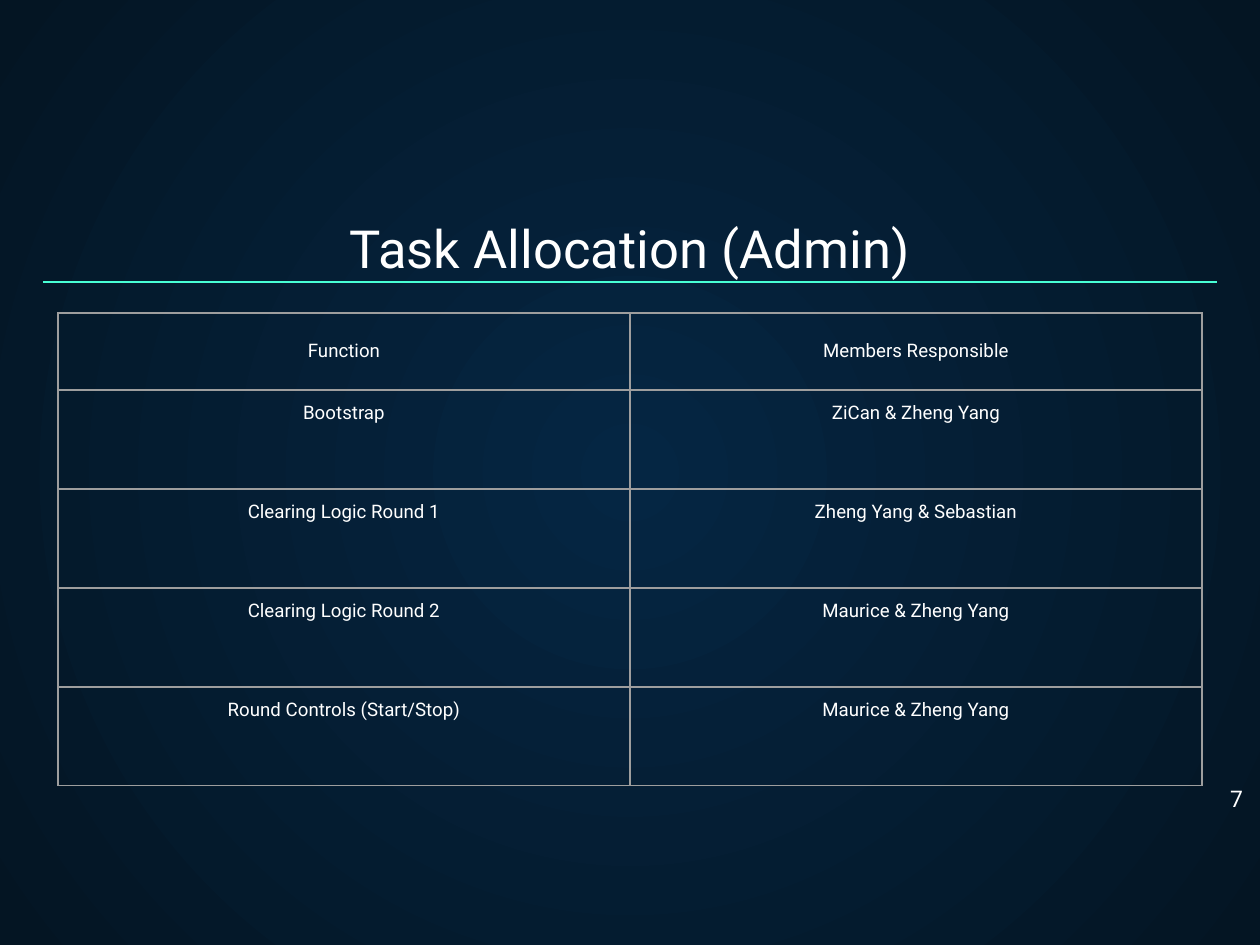
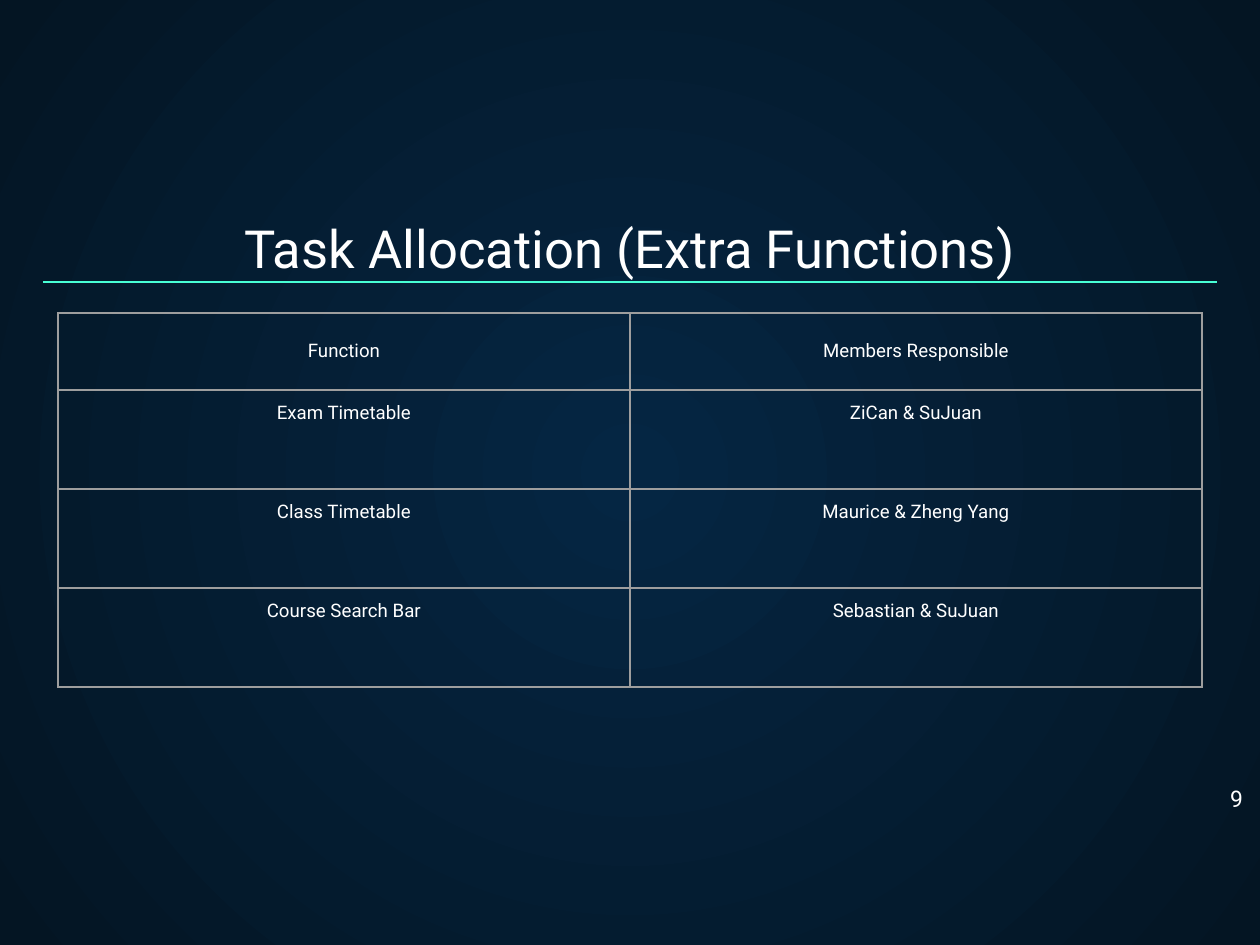
from dataclasses import dataclass

from lxml.etree import SubElement
from pptx import Presentation
from pptx.dml.color import RGBColor as RGB
from pptx.enum.shapes import MSO_CONNECTOR
from pptx.enum.text import MSO_ANCHOR as ANCHOR, PP_ALIGN as ALIGN
from pptx.oxml.ns import qn
from pptx.util import Emu, Pt


@dataclass(frozen=True)
class Theme:
    font: str = "Roboto"
    text: str = "FFFFFF"
    accent: str = "48FFD5"
    border: str = "9E9E9E"
    center: str = "052643"
    edge: str = "041523"
    title_size: float = 22.5
    number_size: float = 9.8
    cell_size: float = 8
    line_width: float = 0.75


THEME = Theme()
WIDTH, HEIGHT = 1260, 945
INSET = 12
COL_WIDTH, HEADER_HEIGHT, ROW_HEIGHT = 572, 77, 99

HEADER = ("Function", "Members Responsible")
SLIDES = [
    ("Task Allocation (Admin)", 7, [
        ("Bootstrap", "ZiCan & Zheng Yang"),
        ("Clearing Logic Round 1", "Zheng Yang & Sebastian"),
        ("Clearing Logic Round 2", "Maurice & Zheng Yang"),
        ("Round Controls (Start/Stop)", "Maurice & Zheng Yang"),
    ]),
    ("Task Allocation (Extra Functions)", 9, [
        ("Exam Timetable", "ZiCan & SuJuan"),
        ("Class Timetable", "Maurice & Zheng Yang"),
        ("Course Search Bar", "Sebastian & SuJuan"),
    ]),
]


def px(n):
    return Emu(round(n * 914400 / 168))


# Shared background
def set_background(master):
    fill = master.background.fill
    fill.gradient()
    for stop, color in zip(fill.gradient_stops, (THEME.center, THEME.edge)):
        stop.color.rgb = RGB.from_string(color)
    grad = master.element.find(".//" + qn("a:gradFill"))
    grad.remove(grad.find(qn("a:lin")))
    circle = SubElement(grad, qn("a:path"), path="circle")
    SubElement(circle, qn("a:fillToRect"),
               {side: "50000" for side in "ltrb"})


# Text
def write(tf, text, size, align):
    tf.text = text
    p = tf.paragraphs[0]
    p.alignment = align
    font = p.runs[0].font
    font.name, font.size, font.bold = THEME.font, Pt(size), False
    font.color.rgb = RGB.from_string(THEME.text)


def set_insets(box):
    box.margin_left = box.margin_right = px(INSET)
    box.margin_top = box.margin_bottom = px(INSET)


def add_text(s, x, y, w, h, text, size, align, anchor=ANCHOR.TOP):
    tf = s.shapes.add_textbox(px(x), px(y), px(w), px(h)).text_frame
    tf.word_wrap = True
    tf.vertical_anchor = anchor
    set_insets(tf)
    write(tf, text, size, align)


# Accent rule under the title
def add_rule(s, x1, x2, y):
    line = s.shapes.add_connector(MSO_CONNECTOR.STRAIGHT,
                                  px(x1), px(y), px(x2), px(y))
    line.line.color.rgb = RGB.from_string(THEME.accent)
    line.line.width = Pt(THEME.line_width)
    SubElement(line.element.spPr, qn("a:effectLst"))


# Table
def set_borders(cell):
    tcPr = cell._tc.get_or_add_tcPr()
    for side in ("lnL", "lnR", "lnT", "lnB"):
        ln = SubElement(tcPr, qn("a:" + side), w=str(Pt(THEME.line_width)))
        solid = SubElement(ln, qn("a:solidFill"))
        SubElement(solid, qn("a:srgbClr"), val=THEME.border)


def add_table(s, x, y, rows):
    heights = [HEADER_HEIGHT] + [ROW_HEIGHT] * (len(rows) - 1)
    columns = len(HEADER)
    table = s.shapes.add_table(len(rows), columns, px(x), px(y),
                               px(COL_WIDTH * columns), px(sum(heights))).table
    table.first_row = table.horz_banding = False
    for column in table.columns:
        column.width = px(COL_WIDTH)
    for i, (row, height, texts) in enumerate(zip(table.rows, heights, rows)):
        row.height = px(height)
        for cell, text in zip(row.cells, texts):
            set_borders(cell)
            cell.fill.background()
            set_insets(cell)
            cell.vertical_anchor = ANCHOR.TOP if i else ANCHOR.MIDDLE
            write(cell.text_frame, text, THEME.cell_size, ALIGN.CENTER)


def add_task_slide(prs, title, number, tasks):
    s = prs.slides.add_slide(prs.slide_layouts[6])
    add_text(s, 43, 207, 1174, 84, title, THEME.title_size,
             ALIGN.CENTER, ANCHOR.BOTTOM)
    add_rule(s, 43, 1217, 282)
    add_text(s, 1179, 773, 76, 54, str(number), THEME.number_size, ALIGN.RIGHT)
    add_table(s, 58, 313, [HEADER, *tasks])


def main():
    prs = Presentation()
    prs.slide_width, prs.slide_height = px(WIDTH), px(HEIGHT)
    set_background(prs.slide_master)
    for title, number, tasks in SLIDES:
        add_task_slide(prs, title, number, tasks)
    prs.save("out.pptx")


if __name__ == "__main__":
    main()
